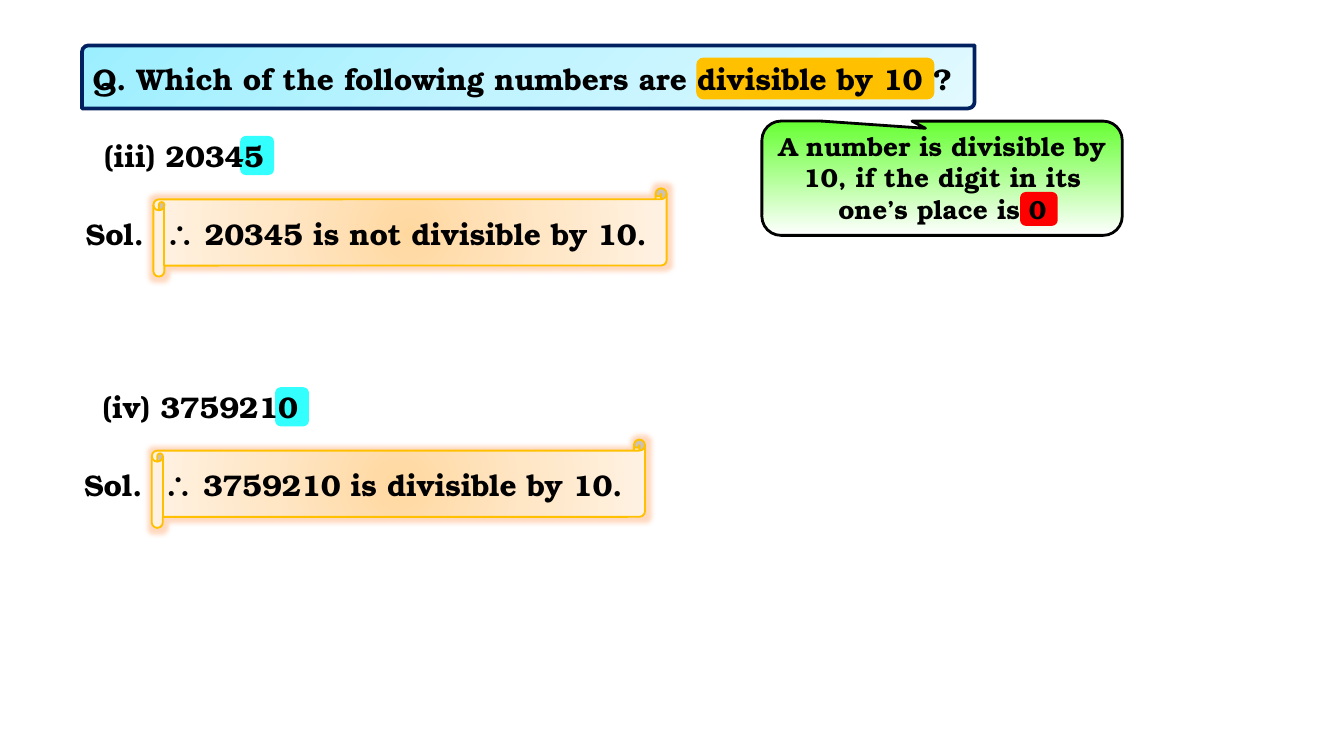
import dataclasses
import pptx
import pptx.dml.color
import pptx.enum.shapes
import pptx.enum.text
import pptx.oxml
import pptx.oxml.ns
import pptx.util

Cm = pptx.util.Cm
Kind = pptx.enum.shapes.MSO_SHAPE
qn = pptx.oxml.ns.qn


@dataclasses.dataclass(frozen=True)
class Theme:
    font: str = "TeX Gyre Bonum"
    ink: str = "000000"
    navy: str = "002060"
    gold: str = "FFC000"
    red: str = "FF0000"
    cyan: str = "33FFFF"
    glow: str = "FFA060"
    sky: tuple = ("9CEFFF", "C2F4FF", "E1F9FF")
    lime: tuple = ("66FF33", "FFFFFF")
    peach: tuple = ("FFD8A0", "FFE6C5", "FFF2E3")
    body: int = 16
    note: int = 14


THEME = Theme()
NS = pptx.oxml.ns.nsdecls("a")


def rgb(code):
    return pptx.dml.color.RGBColor.from_string(code)


def shade(shape, tones, angle):
    """Spread the tones evenly; an angle of None runs them out from the centre."""
    shape.fill.gradient()
    grad = shape.element.spPr.find(qn("a:gradFill"))
    for child in list(grad):
        grad.remove(child)
    step = 100000 // (len(tones) - 1)
    stops = "".join(
        f'<a:gs pos="{i * step}"><a:srgbClr val="{tone}"/></a:gs>'
        for i, tone in enumerate(tones))
    if angle is None:
        way = (f'<a:path {NS} path="circle"><a:fillToRect l="50000" t="50000" '
               'r="50000" b="50000"/></a:path>')
    else:
        way = f'<a:lin {NS} ang="{angle * 60000}" scaled="0"/>'
    grad.append(pptx.oxml.parse_xml(f"<a:gsLst {NS}>{stops}</a:gsLst>"))
    grad.append(pptx.oxml.parse_xml(way))


def panel(slide, kind, box, fill, angle=None, line=None, width=1, adjust=()):
    """Add a shape; fill is one colour or a tuple of gradient tones."""
    shape = slide.shapes.add_shape(kind, *map(Cm, box))
    shape.shadow.inherit = False
    for i, value in enumerate(adjust):
        shape.adjustments[i] = value
    if isinstance(fill, tuple):
        shade(shape, fill, angle)
    else:
        shape.fill.solid()
        shape.fill.fore_color.rgb = rgb(fill)
    if line:
        shape.line.color.rgb = rgb(line)
        shape.line.width = pptx.util.Pt(width)
    else:
        shape.line.fill.background()
    return shape


def words(slide, box, text, size=THEME.body, wrap=True, align=None, hang=0):
    frame = slide.shapes.add_textbox(*map(Cm, box)).text_frame
    frame.word_wrap = wrap
    frame.auto_size = pptx.enum.text.MSO_AUTO_SIZE.SHAPE_TO_FIT_TEXT
    frame.text = text
    para = frame.paragraphs[0]
    para.alignment = align
    if hang:
        props = para._p.get_or_add_pPr()
        props.set("marL", str(Cm(hang)))
        props.set("indent", str(-Cm(hang)))
    font = para.runs[0].font
    font.name = THEME.font
    font.size = pptx.util.Pt(size)
    font.bold = True
    font.color.rgb = rgb(THEME.ink)


def title(slide, box):
    x, y, w, h = box
    panel(slide, Kind.ROUND_2_DIAG_RECTANGLE, box, THEME.sky, 45,
          THEME.navy, 2, (0.103, 0))
    panel(slide, Kind.ROUNDED_RECTANGLE, (x + 11.61, y + 0.23, 4.5, 0.79),
          THEME.gold)
    words(slide, (x - 0.05, y + 0.16, w + 0.05, 0.94),
          "Q. Which of the following numbers are divisible by 10 ?")


def rule(slide, box):
    """Draw the callout that states the divisibility rule."""
    x, y, w, h = box
    panel(slide, Kind.ROUNDED_RECTANGULAR_CALLOUT, box, THEME.lime, 90,
          THEME.ink, 1.5, (-0.046, -0.437, 0.167))
    panel(slide, Kind.FLOWCHART_ALTERNATE_PROCESS,
          (x + 4.88, y + 1.34, 0.71, 0.64), THEME.red)
    words(slide, (x + 0.03, y + 0.05, w - 0.05, h - 0.1),
          "A number is divisible by 10, if the digit in its one’s place is 0",
          THEME.note, align=pptx.enum.text.PP_ALIGN.CENTER)


def case(slide, box, label, span, answer):
    """Draw a number, span wide, with its last digit marked, over its answer."""
    x, y, w, h = box
    left = x - 1.18
    panel(slide, Kind.ROUNDED_RECTANGLE,
          (left + span - 0.76, y - 0.99, 0.64, 0.74), THEME.cyan)
    words(slide, (left, y - 1.08, span, 0.94), label, wrap=False)
    scroll = panel(slide, Kind.HORIZONTAL_SCROLL, box, THEME.peach,
                   line=THEME.gold)
    scroll.element.spPr.find(qn("a:effectLst")).append(pptx.oxml.parse_xml(
        f'<a:glow {NS} rad="63500"><a:srgbClr val="{THEME.glow}">'
        '<a:alpha val="40000"/></a:srgbClr></a:glow>'))
    words(slide, (x - 0.03, y + 0.39, w + 0.03, 0.94), answer, hang=0.64)
    words(slide, (x - 1.53, y + 0.39, 1.63, 0.94), "Sol.", wrap=False)


def main():
    deck = pptx.Presentation()
    deck.slide_width, deck.slide_height = Cm(25.4), Cm(14.29)
    slide = deck.slides.add_slide(deck.slide_layouts[6])
    title(slide, (1.55, 0.86, 16.87, 1.19))
    rule(slide, (14.4, 2.29, 6.81, 2.16))
    case(slide, (2.9, 3.56, 9.7, 1.67), "(iii) 20345", 3.58,
         "∴ 20345 is not divisible by 10.")
    case(slide, (2.87, 8.31, 9.32, 1.67), "(iv) 3759210", 4.27,
         "∴ 3759210 is divisible by 10.")
    deck.save("out.pptx")


if __name__ == "__main__":
    main()
